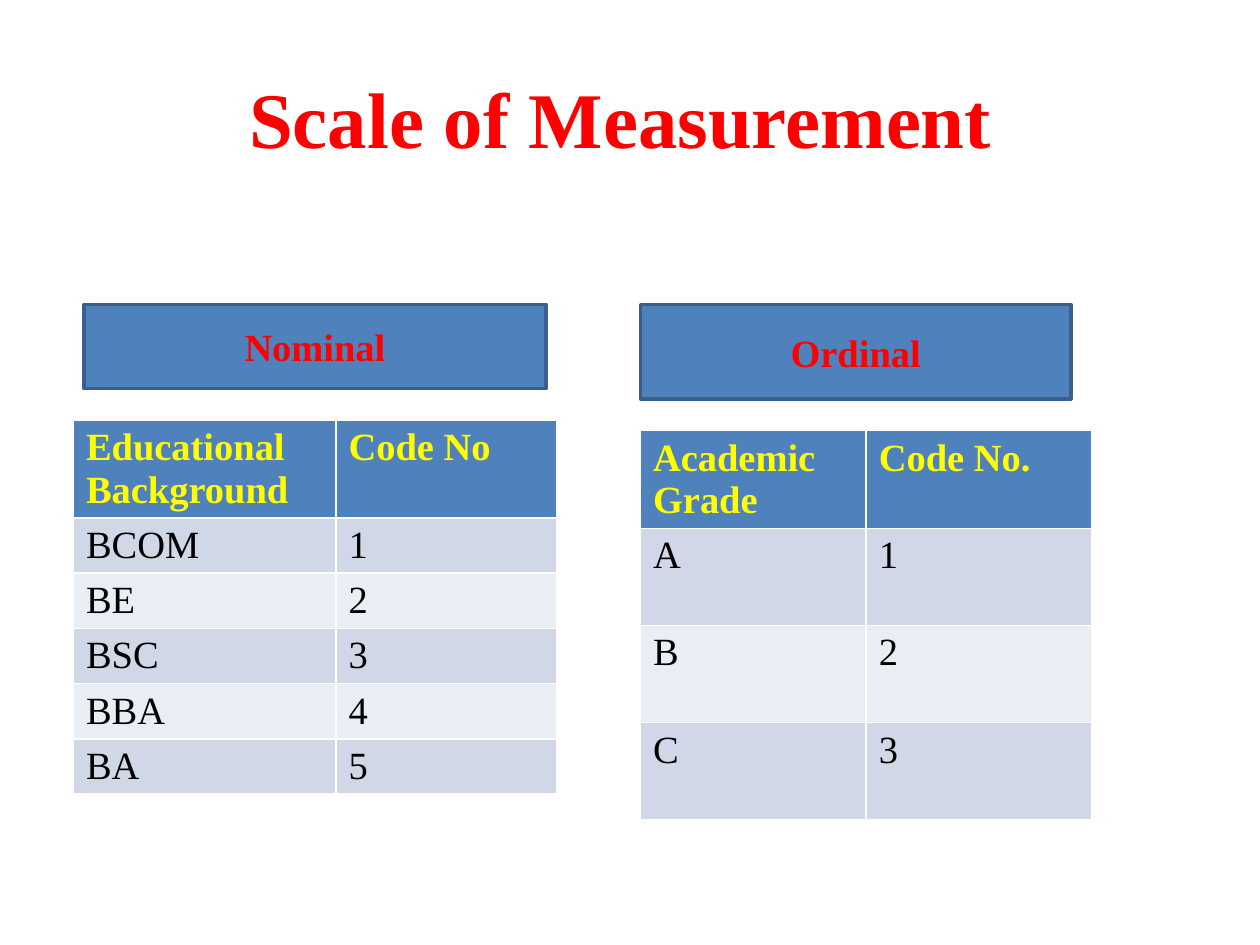
from dataclasses import dataclass

from pptx import Presentation
from pptx.dml.color import RGBColor
from pptx.enum.shapes import MSO_SHAPE as Preset
from pptx.enum.text import MSO_ANCHOR as Anchor, MSO_AUTO_SIZE as AutoSize, PP_ALIGN as Align
from pptx.slide import Slide
from pptx.text.text import Font
from pptx.util import Pt

FONT_NAME = "Times New Roman"
TEXT_SIZE = 22
RED, YELLOW, BLACK = "FF0000", "FFFF00", "000000"
BLUE, DARK_BLUE = "4F81BD", "3A5F8C"
BANDS = ("D0D8E8", "E9EDF4")


@dataclass(frozen=True)
class Box:
    left: float
    top: float
    width: float
    height: float

    def lengths(self) -> tuple[Pt, Pt, Pt, Pt]:
        return Pt(self.left), Pt(self.top), Pt(self.width), Pt(self.height)


@dataclass(frozen=True)
class Scale:
    name: str
    label: Box
    table_left: float
    table_top: float
    column_widths: tuple[float, ...]
    row_height: float
    rows: tuple[tuple[str, str], ...]


SCALES = (
    Scale("Nominal", Box(48, 174, 264, 48), 42, 240, (150, 126), 29.5,
          (("Educational Background", "Code No"), ("BCOM", "1"), ("BE", "2"),
           ("BSC", "3"), ("BBA", "4"), ("BA", "5"))),
    Scale("Ordinal", Box(366, 174, 246, 54), 366, 246, (129, 129), 55.5,
          (("Academic Grade", "Code No."), ("A", "1"), ("B", "2"), ("C", "3"))),
)


def color(value: str) -> RGBColor:
    return RGBColor.from_string(value)


def format_font(font: Font, size: float, text_color: str, bold: bool) -> None:
    font.name = FONT_NAME
    font.size = Pt(size)
    font.bold = bold
    font.color.rgb = color(text_color)


def add_title(slide: Slide, text: str) -> None:
    title = slide.shapes.title
    title.left, title.top, title.width, title.height = Box(36, 21.6, 648, 90).lengths()
    frame = title.text_frame
    frame.text = text
    frame.auto_size = AutoSize.NONE
    frame.vertical_anchor = Anchor.MIDDLE
    paragraph = frame.paragraphs[0]
    paragraph.alignment = Align.CENTER
    format_font(paragraph.font, 45, RED, True)


def add_label(slide: Slide, scale: Scale) -> None:
    shape = slide.shapes.add_shape(Preset.RECTANGLE, *scale.label.lengths())
    shape.shadow.inherit = False
    shape.fill.solid()
    shape.fill.fore_color.rgb = color(BLUE)
    shape.line.color.rgb = color(DARK_BLUE)
    shape.line.width = Pt(2)
    shape.text_frame.text = scale.name
    shape.text_frame.vertical_anchor = Anchor.MIDDLE
    paragraph = shape.text_frame.paragraphs[0]
    paragraph.alignment = Align.CENTER
    format_font(paragraph.font, TEXT_SIZE, RED, True)


def add_scale_table(slide: Slide, scale: Scale) -> None:
    box = Box(scale.table_left, scale.table_top, sum(scale.column_widths),
              scale.row_height * len(scale.rows))
    table = slide.shapes.add_table(
        len(scale.rows), len(scale.column_widths), *box.lengths()).table
    for column, width in zip(table.columns, scale.column_widths):
        column.width = Pt(width)
    for row_index, texts in enumerate(scale.rows):
        is_header = row_index == 0
        fill = BLUE if is_header else BANDS[(row_index - 1) % 2]
        for cell, text in zip(table.rows[row_index].cells, texts):
            cell.text = text
            cell.fill.solid()
            cell.fill.fore_color.rgb = color(fill)
            format_font(cell.text_frame.paragraphs[0].font, TEXT_SIZE,
                        YELLOW if is_header else BLACK, is_header)


def main() -> None:
    presentation = Presentation()
    presentation.slide_width = Pt(720)
    presentation.slide_height = Pt(540)
    slide = presentation.slides.add_slide(presentation.slide_layouts[5])
    add_title(slide, "Scale of Measurement ")
    for scale in SCALES:
        add_scale_table(slide, scale)
    for scale in SCALES:
        add_label(slide, scale)
    presentation.save("out.pptx")


if __name__ == "__main__":
    main()
